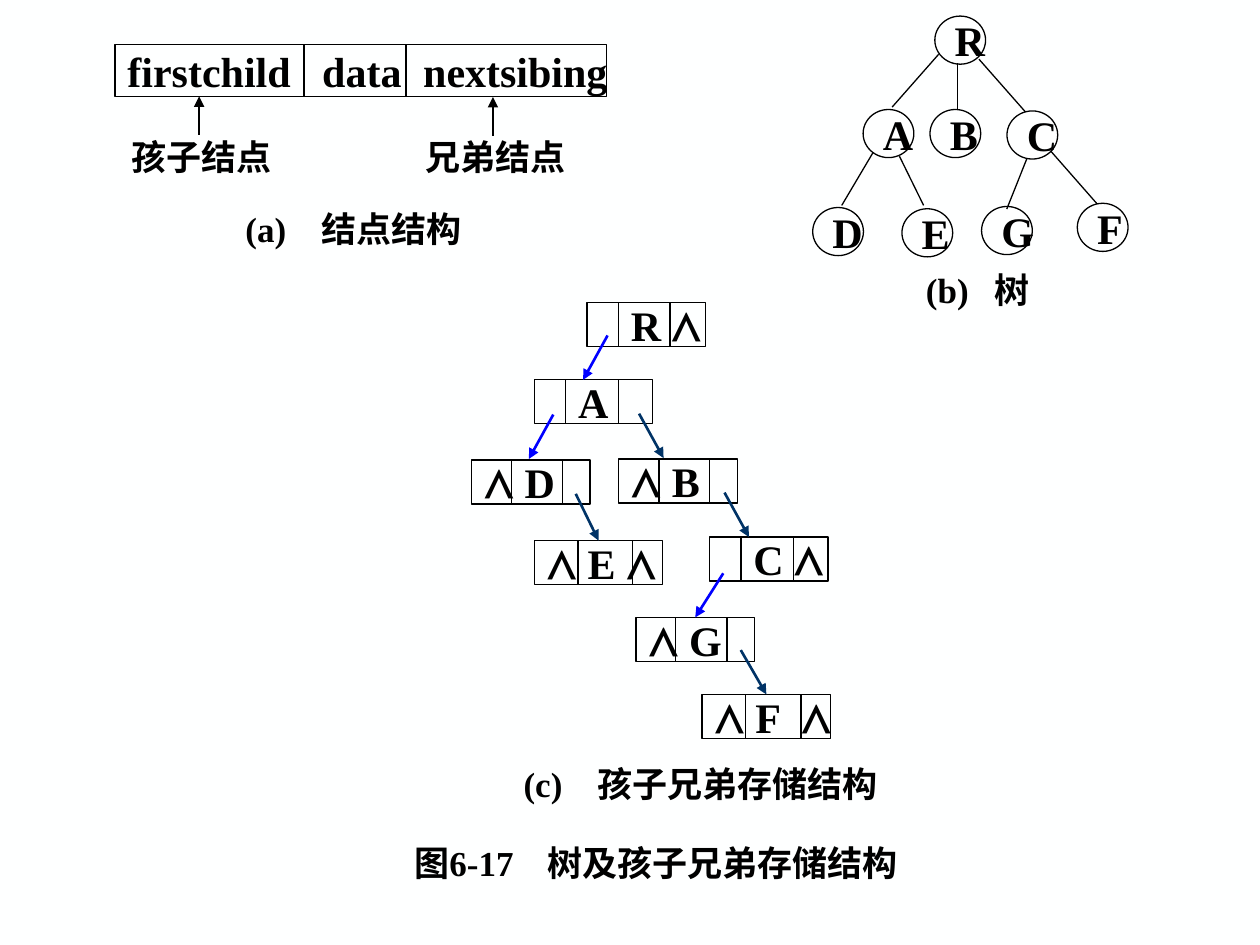
from lxml.etree import SubElement
from pptx import Presentation
from pptx.dml.color import RGBColor
from pptx.enum.shapes import MSO_CONNECTOR, MSO_SHAPE
from pptx.enum.text import MSO_ANCHOR, PP_ALIGN
from pptx.oxml.ns import qn
from pptx.util import Pt

COLORS = {"paper": "FEFFFF", "ink": "000000", "child": "0000FF", "sibling": "003366"}
LATIN, CHINESE = "Times New Roman", "Noto Sans CJK SC"

prs = Presentation()
prs.slide_width, prs.slide_height = Pt(720), Pt(540)
slide = prs.slides.add_slide(prs.slide_layouts[6])
slide.background.fill.solid()
slide.background.fill.fore_color.rgb = RGBColor.from_string(COLORS["paper"])


def add_label(text, x, y, width, height, outline=None, size=24, tabs=()):
    """Add bold text, in an outlined preset shape if one is given; tabs are in points."""
    box = (Pt(x), Pt(y), Pt(width), Pt(height))
    if outline is None:
        label = slide.shapes.add_textbox(*box)
    else:
        label = slide.shapes.add_shape(outline, *box)
        label.shadow.inherit = False
        label.fill.background()
        label.line.color.rgb = RGBColor.from_string(COLORS["ink"])
        label.line.width = Pt(0.75)
    frame = label.text_frame
    frame.word_wrap = False
    frame.vertical_anchor = MSO_ANCHOR.MIDDLE
    paragraph = frame.paragraphs[0]
    paragraph.text = text
    paragraph.alignment = PP_ALIGN.LEFT
    if tabs:
        tab_list = SubElement(paragraph._p.get_or_add_pPr(), qn("a:tabLst"))
        for position in tabs:
            SubElement(tab_list, qn("a:tab"), pos=str(Pt(position)), algn="l")
    font = paragraph.font
    font.size, font.bold, font.name = Pt(size), True, LATIN
    font.color.rgb = RGBColor.from_string(COLORS["ink"])
    SubElement(font._element, qn("a:ea"), typeface=CHINESE)
    return label


def add_line(x1, y1, x2, y2, color="ink", arrow=False):
    line = slide.shapes.add_connector(
        MSO_CONNECTOR.STRAIGHT, Pt(x1), Pt(y1), Pt(x2), Pt(y2))
    line.line.color.rgb = RGBColor.from_string(COLORS[color])
    line.line.width = Pt(1.5 if arrow else 0.75)
    if arrow:
        SubElement(line.line._get_or_add_ln(), qn("a:tailEnd"), type="triangle")
    SubElement(line._element.spPr, qn("a:effectLst"))
    return line


# (a) Node structure
header_x, header_y, header_height = 65.8, 25.4, 29.8
add_label("firstchild\tdata\tnextsibing", header_x, header_y, 280.8, header_height,
          MSO_SHAPE.RECTANGLE, tabs=(111.3, 169))
for divider in (108, 166.3):
    add_line(header_x + divider, header_y, header_x + divider, header_y + header_height)
for pointer, x, y, arrow_x in (("孩子结点", 67.8, 75.6, 113.8),
                               ("兄弟结点", 236.2, 76, 281.7)):
    add_label(pointer, x, y, 97, 27.4, size=20)
    add_line(arrow_x, y + 1.5, arrow_x, y - 20.5, arrow=True)

# (b) Tree
tree_nodes = {"R": (534.2, 9.2), "A": (493.2, 62.6), "B": (531.4, 62.6),
              "C": (575.4, 63.4), "D": (464.4, 118.6), "E": (515.4, 119.3),
              "G": (560.9, 118), "F": (615.6, 116.2)}
for name, (x, y) in tree_nodes.items():
    add_label(name, x, y, 29, 27.5, MSO_SHAPE.OVAL)
for edge in ((536.4, 31, 509.8, 61.2), (547.2, 36, 547.2, 62.6),
             (559.4, 33.8, 586, 64), (499, 87, 481, 117.4),
             (514, 89.3, 527.8, 117.4), (600.5, 86.4, 627, 116.6),
             (586.8, 90.7, 575.3, 119.5)):
    add_line(*edge)

# (c) Child-sibling storage: name, text, x, y, width, dividers, tabs
record_height = 25.2
record_nodes = (
    ("R", "\tR\t⋀", 335.4, 172.8, 67.8, (18, 47.5), (18, 41)),
    ("A", "\tA", 305.3, 216.8, 67.8, (18, 48), (18,)),
    ("D", "⋀ D", 269.4, 262.8, 67.8, (23, 52), ()),
    ("B", "⋀ B", 353.5, 262.3, 67.8, (23, 52), ()),
    ("E", "⋀ E ⋀", 305.3, 308.9, 73.5, (25, 56), ()),
    ("C", "\tC\t⋀", 405.4, 306.8, 67.8, (18, 48), (18, 41)),
    ("G", "⋀ G", 363.4, 352.8, 67.8, (22.5, 52), ()),
    ("F", "⋀ F\t⋀", 401.2, 396.8, 73.5, (25, 56.6), (49.5,)),
)
records = {}
for name, fields, x, y, width, dividers, tabs in record_nodes:
    records[name] = add_label(fields, x, y, width, record_height,
                              MSO_SHAPE.RECTANGLE, tabs=tabs)
    for divider in dividers:
        add_line(x + divider, y, x + divider, y + record_height)

# Links start inside a field; some meet the middle of the next record's top
for kind, x, y, target in (("child", 347.2, 191.7, None), ("child", 316.2, 236.9, None),
                           ("child", 413.3, 327.6, "G"), ("sibling", 365.2, 236.4, None),
                           ("sibling", 414, 281.5, None), ("sibling", 329, 282.2, "E"),
                           ("sibling", 423.3, 371.5, "F")):
    step = -14 if kind == "child" else 14
    link = add_line(x, y, x + step, y + 25.4, kind, arrow=True)
    if target:
        link.end_connect(records[target], 0)

# Captions, each box wide enough to hold its text on one line
for caption, x, y, width, height, tab in (
        ("(a)\t结点结构", 133.2, 116.6, 150, 27.4, 43.3),
        ("(b)\t树", 522, 152.6, 90, 25.2, 39),
        ("(c)\t孩子兄弟存储结构", 292.1, 433.6, 235, 28, 42),
        ("图6-17\t树及孩子兄弟存储结构", 229.7, 478.8, 310, 28, 76)):
    add_label(caption, x, y, width, height, size=20, tabs=(tab,))

prs.save("out.pptx")
